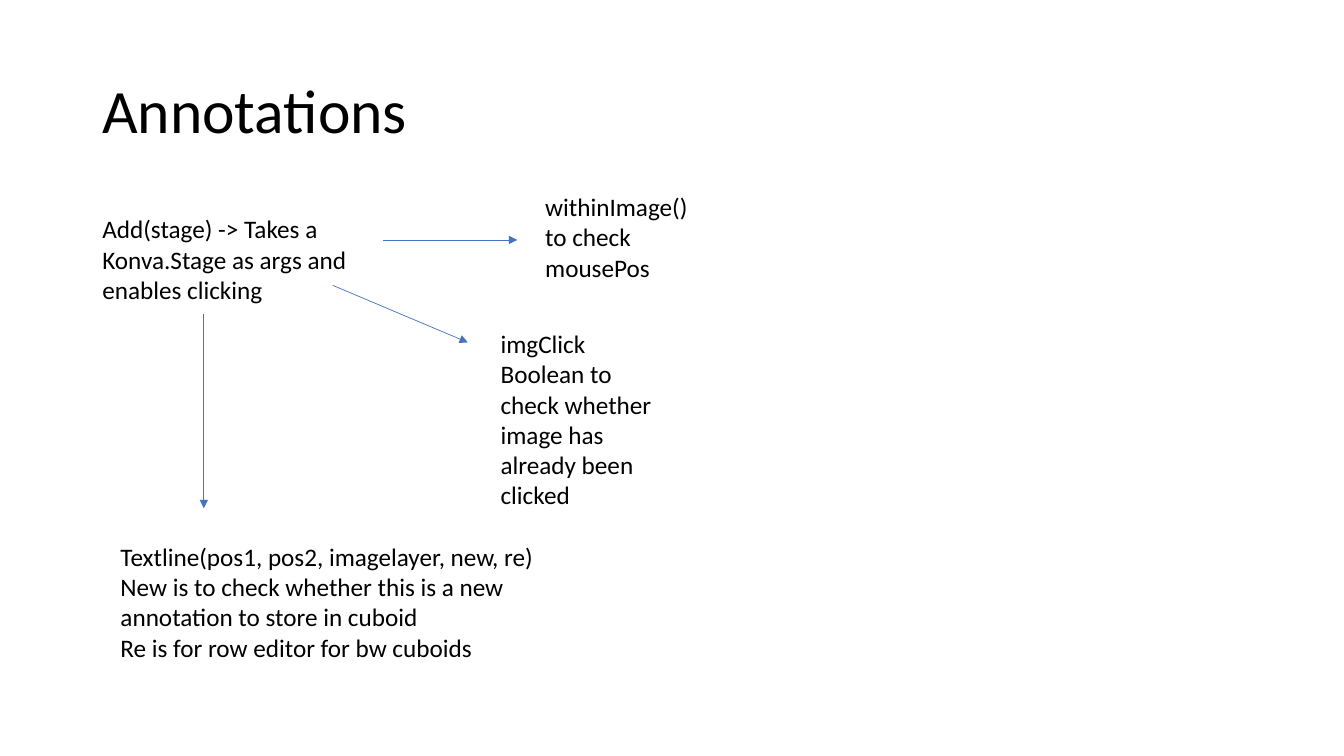
from dataclasses import dataclass

from lxml import etree
from pptx import Presentation
from pptx.dml.color import RGBColor
from pptx.enum.shapes import MSO_CONNECTOR
from pptx.enum.text import MSO_ANCHOR, MSO_AUTO_SIZE
from pptx.oxml.ns import qn
from pptx.util import Pt

STRAIGHT = MSO_CONNECTOR.STRAIGHT
TOP, MIDDLE = MSO_ANCHOR.TOP, MSO_ANCHOR.MIDDLE
FIT_SHAPE, FIT_NONE = MSO_AUTO_SIZE.SHAPE_TO_FIT_TEXT, MSO_AUTO_SIZE.NONE


@dataclass(frozen=True)
class Theme:
    """Hold the colours, font and sizes of the slide."""
    text: RGBColor = RGBColor(0x00, 0x00, 0x00)
    arrow: RGBColor = RGBColor(0x44, 0x72, 0xC4)
    background: RGBColor = RGBColor(0xFF, 0xFF, 0xFF)
    font: str = "Calibri"
    title_size: float = 44
    note_size: float = 18
    arrow_width: float = 0.5


THEME = Theme()
TITLE_FRAME = {"vertical_anchor": MIDDLE, "auto_size": FIT_NONE, "word_wrap": True}
NOTE_FRAME = {"vertical_anchor": TOP, "auto_size": FIT_SHAPE, "word_wrap": True}

NOTES = [
    ((0, 17.3, 192, 72.7),
     ["Add(stage) -> Takes a Konva.Stage as args and enables clicking"]),
    ((316.3, 1.4, 133.2, 72.7), ["withinImage() to check mousePos"]),
    ((284.5, 99.2, 129.6, 138.2),
     ["imgClick Boolean to check whether image has already been clicked"]),
    ((13, 251.3, 321, 94.5),
     ["Textline(pos1, pos2, imagelayer, new, re)",
      "New is to check whether this is a new annotation to store in cuboid",
      "Re is for row editor for bw cuboids"]),
]
ARROWS = [
    ((207.6, 39.6), (303.4, 39.6)),
    ((171.6, 72), (268.2, 112.8)),
    ((79.6, 92.8), (79.6, 231.2)),
]


def set_values(target, values):
    """Set every attribute named in values on the target."""
    for name, value in values.items():
        setattr(target, name, value)


def add_text(slide, box, lines, size, frame_values, line_spacing=1.0):
    """Add a text box with one paragraph for each line."""
    shape = slide.shapes.add_textbox(*map(Pt, box))
    frame = shape.text_frame
    frame.text = "\n".join(lines)
    set_values(frame, frame_values)
    for paragraph in frame.paragraphs:
        paragraph.line_spacing = line_spacing
        set_values(paragraph.runs[0].font, {"name": THEME.font, "size": Pt(size)})
        paragraph.runs[0].font.color.rgb = THEME.text


def add_arrow(slide, start, end):
    """Add a thin straight arrow from start to end."""
    connector = slide.shapes.add_connector(STRAIGHT, *map(Pt, start + end))
    connector.line.color.rgb = THEME.arrow
    connector.line.width = Pt(THEME.arrow_width)
    etree.SubElement(connector.line._get_or_add_ln(), qn("a:tailEnd"), type="triangle")
    etree.SubElement(connector._element.spPr, qn("a:effectLst"))


def add_title(slide, box):
    """Fill the given box with the slide title."""
    add_text(slide, box, ["Annotations"], THEME.title_size, TITLE_FRAME, 0.9)


def add_call_diagram(slide, box):
    """Place the notes and their arrows relative to the given box."""
    left, top = box[:2]
    for (x, y, width, height), lines in NOTES:
        note_box = (left + x, top + y, width, height)
        add_text(slide, note_box, lines, THEME.note_size, NOTE_FRAME)
    for ends in ARROWS:
        add_arrow(slide, *((left + x, top + y) for x, y in ends))


def build():
    """Build the presentation and save it."""
    presentation = Presentation()
    set_values(presentation, {"slide_width": Pt(960), "slide_height": Pt(540)})
    slide = presentation.slides.add_slide(presentation.slide_layouts[6])
    slide.background.fill.solid()
    slide.background.fill.fore_color.rgb = THEME.background
    add_title(slide, (66, 28.8, 828, 104.4))
    add_call_diagram(slide, (66, 131.8, 449.5, 345.8))
    presentation.save("out.pptx")


build()
